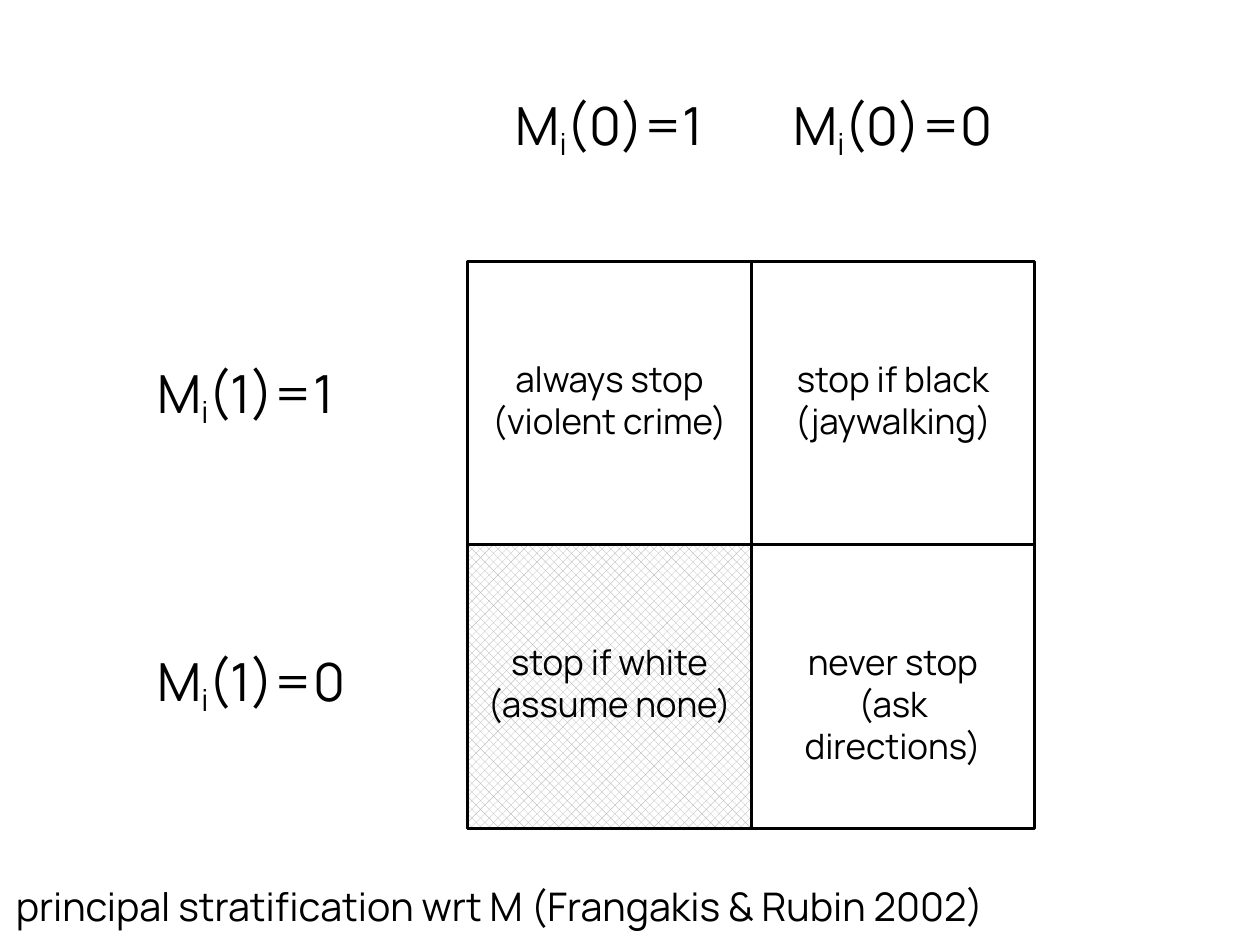
import pptx
import pptx.util
import pptx.dml.color
import pptx.enum.dml
import pptx.enum.shapes
import pptx.enum.text

Inches = pptx.util.Inches
Pt = pptx.util.Pt
ALIGN = pptx.enum.text.PP_ALIGN

BLACK = pptx.dml.color.RGBColor(0x00, 0x00, 0x00)
WHITE = pptx.dml.color.RGBColor(0xFF, 0xFF, 0xFF)
GREY = pptx.dml.color.RGBColor(0xB2, 0xB2, 0xB2)
FONT = "Manrope"
CELL = 1.8

# Cell lines, row by row
STRATA = [
    [("always stop", "(violent crime)"), ("stop if black", "(jaywalking)")],
    [("stop if white", "(assume none)"), ("never stop", "(ask directions)")],
]
RULED_OUT = (1, 0)


def add_run(p, text, size, baseline=None):
    r = p.add_run()
    r.text = text
    r.font.name = FONT
    r.font.size = Pt(size)
    r.font.color.rgb = BLACK
    if baseline is not None:
        r.font._element.set("baseline", str(baseline))


def set_frame(tf, top=0.05):
    tf.word_wrap = True
    tf.auto_size = pptx.enum.text.MSO_AUTO_SIZE.NONE
    tf.vertical_anchor = pptx.enum.text.MSO_ANCHOR.TOP
    tf.margin_left = tf.margin_right = Inches(0.1)
    tf.margin_top, tf.margin_bottom = Inches(top), Inches(0.05)


def add_label(s, left, top, arm, value, align):
    """Potential mediator M_i(arm)=value."""
    sp = s.shapes.add_textbox(Inches(left), Inches(top), Inches(CELL), Inches(0.52))
    set_frame(sp.text_frame)
    p = sp.text_frame.paragraphs[0]
    p.alignment = align
    add_run(p, "M", 24)
    add_run(p, "i", 24, -20000)
    add_run(p, f"({arm})={value}", 24)


def add_cell(s, left, top, lines, hatched):
    sp = s.shapes.add_shape(pptx.enum.shapes.MSO_SHAPE.RECTANGLE,
                            Inches(left), Inches(top), Inches(CELL), Inches(CELL))
    sp.shadow.inherit = False
    sp.line.color.rgb = BLACK
    sp.line.width = Pt(1.45)
    if hatched:
        sp.fill.patterned()
        sp.fill.pattern = pptx.enum.dml.MSO_PATTERN.OUTLINED_DIAMOND
        sp.fill.fore_color.rgb = GREY
        sp.fill.back_color.rgb = WHITE
    else:
        sp.fill.solid()
        sp.fill.fore_color.rgb = WHITE
    tf = sp.text_frame
    set_frame(tf, top=0.61)
    for i, line in enumerate(lines):
        p = tf.add_paragraph() if i else tf.paragraphs[0]
        p.alignment = ALIGN.CENTER
        add_run(p, line, 16)


def add_strata_grid(s, left, top):
    """Two-by-two grid with its column and row labels."""
    for row, cells in enumerate(STRATA):
        for col, lines in enumerate(cells):
            add_cell(s, left + col * CELL, top + row * CELL, lines,
                     (row, col) == RULED_OUT)
    for i in range(2):
        add_label(s, left + i * CELL, top - 1.12, 0, 1 - i, ALIGN.CENTER)
        add_label(s, left - 2.07, top + 0.58 + i * 1.83, 1, 1 - i, ALIGN.LEFT)


def add_caption(s, left, top, width, height):
    """Slide title, set as a caption under the grid."""
    sp = s.shapes.title
    sp.left, sp.top = Inches(left), Inches(top)
    sp.width, sp.height = Inches(width), Inches(height)
    set_frame(sp.text_frame)
    p = sp.text_frame.paragraphs[0]
    p.alignment = ALIGN.LEFT
    add_run(p, "principal stratification wrt M (Frangakis & Rubin 2002)", 18)


def main():
    prs = pptx.Presentation()
    prs.slide_width, prs.slide_height = Inches(8), Inches(6)
    s = prs.slides.add_slide(prs.slide_layouts[5])
    add_strata_grid(s, 2.97, 1.66)
    add_caption(s, 0, 5.55, 7.95, 0.44)
    prs.save("out.pptx")


if __name__ == "__main__":
    main()
